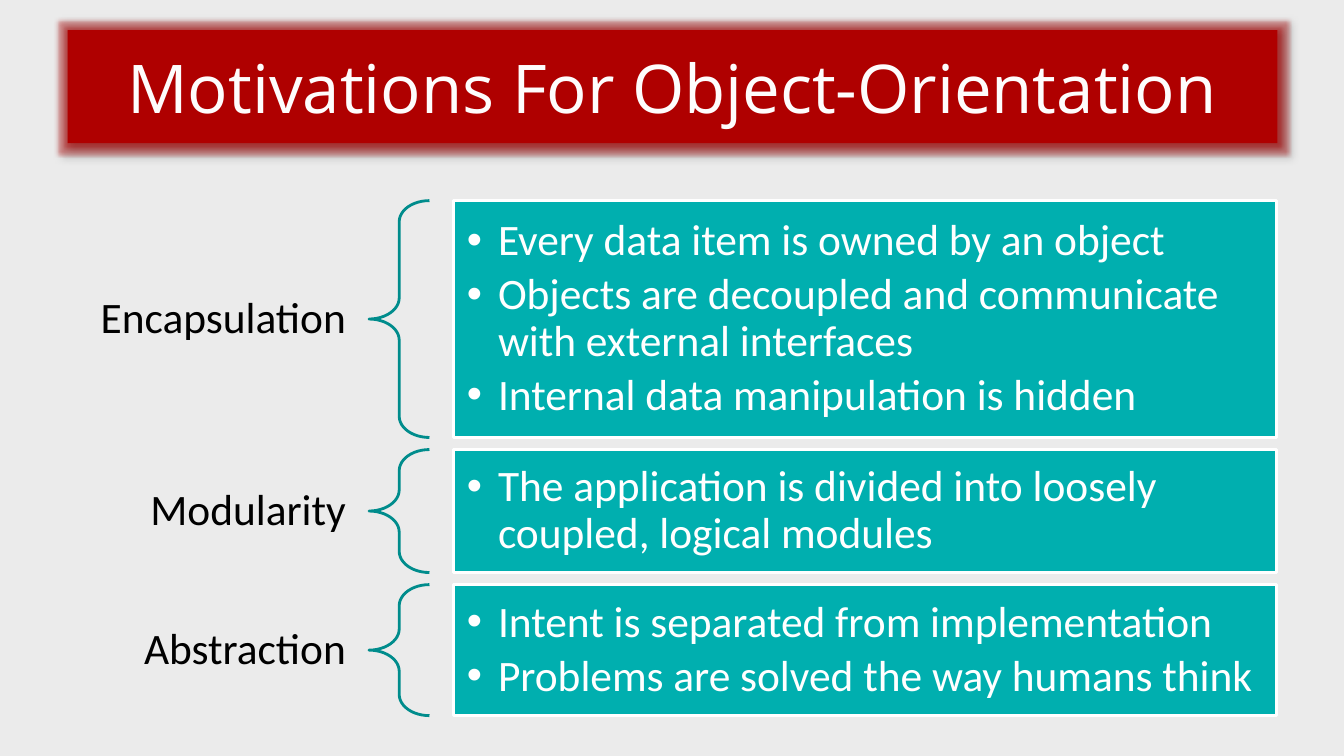
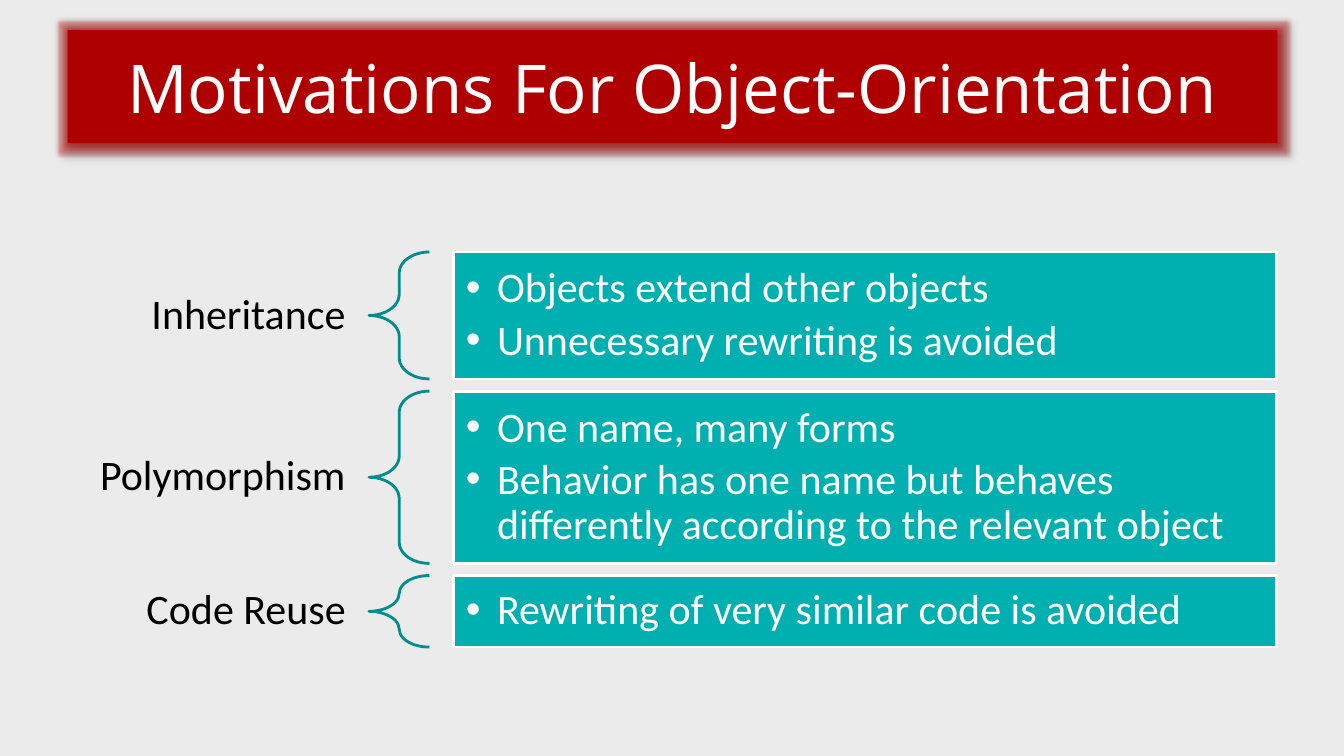
from lxml import etree
from pptx import Presentation
from pptx.dml.color import RGBColor
from pptx.enum.shapes import MSO_SHAPE
from pptx.enum.text import MSO_ANCHOR, PP_ALIGN
from pptx.oxml.ns import qn
from pptx.util import Inches, Pt

RECTANGLE = MSO_SHAPE.RECTANGLE
LEFT_BRACE = MSO_SHAPE.LEFT_BRACE
MIDDLE = MSO_ANCHOR.MIDDLE
LEFT, CENTER, RIGHT = PP_ALIGN.LEFT, PP_ALIGN.CENTER, PP_ALIGN.RIGHT

COLORS = {
    "background": "EBEBEB",
    "banner": "AF0000",
    "title": "FEFCFC",
    "panel": "00AFAF",
    "brace": "008C8C",
    "white": "FFFFFF",
    "black": "000000",
}
TITLE_FONT, BODY_FONT = "Open Sans", "Calibri"
TITLE = "Motivations For Object-Orientation"

# Columns shared by all rows, in inches
LABEL_LEFT, LABEL_WIDTH, LABEL_HEIGHT = 0.67, 3, 0.67
BRACE_LEFT, BRACE_WIDTH = 3.66, 0.6
PANEL_LEFT, PANEL_WIDTH = 4.5, 8.16
ROW_GAP = 0.12
BULLET_INDENT = 0.31

# Each row: label, height, bullet points
SLIDES = [
    {"top": 1.99, "size": 31, "inset": 0.13, "rows": [
        ("Encapsulation", 2.35, [
            "Every data item is owned by an object",
            "Objects are decoupled and communicate with external interfaces",
            "Internal data manipulation is hidden"]),
        ("Modularity", 1.22, [
            "The application is divided into loosely coupled, logical modules"]),
        ("Abstraction", 1.3, [
            "Intent is separated from implementation",
            "Problems are solved the way humans think"]),
    ]},
    {"top": 2.5, "size": 30, "inset": 0.12, "rows": [
        ("Inheritance", 1.26, [
            "Objects extend other objects",
            "Unnecessary rewriting is avoided"]),
        ("Polymorphism", 1.71, [
            "One name, many forms",
            "Behavior has one name but behaves differently according to "
            "the relevant object"]),
        ("Code Reuse", 0.71, ["Rewriting of very similar code is avoided"]),
    ]},
]


def rgb(name):
    return RGBColor.from_string(COLORS[name])


def add_xml(parent, tag, **attributes):
    element = etree.SubElement(parent, qn(tag))
    for key, value in attributes.items():
        element.set(key, str(value))
    return element


def add_color(parent, name, alpha=100):
    color = add_xml(parent, "a:srgbClr", val=COLORS[name])
    if alpha < 100:
        add_xml(color, "a:alpha", val=alpha * 1000)


def add_box(slide, kind, left, top, width, height, fill=None, line=None):
    shape = slide.shapes.add_shape(
        kind, Inches(left), Inches(top), Inches(width), Inches(height))
    shape.shadow.inherit = False
    if fill:
        shape.fill.solid()
        shape.fill.fore_color.rgb = rgb(fill)
    else:
        shape.fill.background()
    if line:
        shape.line.color.rgb = rgb(line)
        shape.line.width = Pt(2)
    else:
        shape.line.fill.background()
    return shape


def write_text(shape, lines, *, size, color, font=BODY_FONT, align=LEFT,
               insets=(0.1, 0.05), spacing=0.9, after=0, bullets=False,
               wrap=True):
    frame = shape.text_frame
    frame.word_wrap = wrap
    frame.vertical_anchor = MIDDLE
    frame.margin_left = frame.margin_right = Inches(insets[0])
    frame.margin_top = frame.margin_bottom = Inches(insets[1])
    for index, line in enumerate(lines):
        paragraph = frame.add_paragraph() if index else frame.paragraphs[0]
        paragraph.alignment = align
        paragraph.line_spacing = spacing
        paragraph.space_after = Pt(after)
        run = paragraph.add_run()
        run.text = line
        run.font.size = Pt(size)
        run.font.name = font
        run.font.color.rgb = rgb(color)
        if bullets:
            properties = paragraph._p.get_or_add_pPr()
            properties.set("marL", str(Inches(BULLET_INDENT)))
            properties.set("indent", str(-Inches(BULLET_INDENT)))
            add_xml(properties, "a:buFont", typeface="Arial")
            add_xml(properties, "a:buChar", char="•")


def add_title(slide):
    banner = add_box(slide, RECTANGLE, 0.67, 0.3, 12, 1.12, fill="banner")
    write_text(banner, [TITLE], size=48, color="title", font=TITLE_FONT,
               align=CENTER, spacing=1.0, wrap=False)
    # Red glow and soft shadow around the banner
    effects = banner._element.spPr.find(qn("a:effectLst"))
    glow = add_xml(effects, "a:glow", rad=Pt(5))
    add_color(glow, "banner", 40)
    shadow = add_xml(effects, "a:outerShdw", blurRad=Pt(4), dist=Pt(3),
                     dir=45 * 60000, algn="tl", rotWithShape=0)
    add_color(shadow, "black", 40)


def add_row(slide, top, height, label, points, size, inset):
    # Label, centred on its row
    label_top = top + (height - LABEL_HEIGHT) / 2
    label_box = slide.shapes.add_textbox(
        Inches(LABEL_LEFT), Inches(label_top),
        Inches(LABEL_WIDTH), Inches(LABEL_HEIGHT))
    write_text(label_box, [label], size=size, color="black", align=RIGHT,
               insets=(0.24, 0.09))
    # Brace
    brace = add_box(slide, LEFT_BRACE, BRACE_LEFT, top, BRACE_WIDTH, height,
                    line="brace")
    brace.adjustments[0] = 0.35
    brace.adjustments[1] = 0.5
    # Panel with bullet points
    panel = add_box(slide, RECTANGLE, PANEL_LEFT, top, PANEL_WIDTH, height,
                    fill="panel", line="white")
    write_text(panel, points, size=size, color="white",
               insets=(inset, inset), after=5, bullets=True)


def main():
    presentation = Presentation()
    presentation.slide_width = Inches(13.33)
    presentation.slide_height = Inches(7.5)
    background = presentation.slide_master.background.fill
    background.solid()
    background.fore_color.rgb = rgb("background")
    for content in SLIDES:
        slide = presentation.slides.add_slide(presentation.slide_layouts[6])
        add_title(slide)
        top = content["top"]
        for label, height, points in content["rows"]:
            add_row(slide, top, height, label, points,
                    content["size"], content["inset"])
            top += height + ROW_GAP
    presentation.save("out.pptx")


main()
